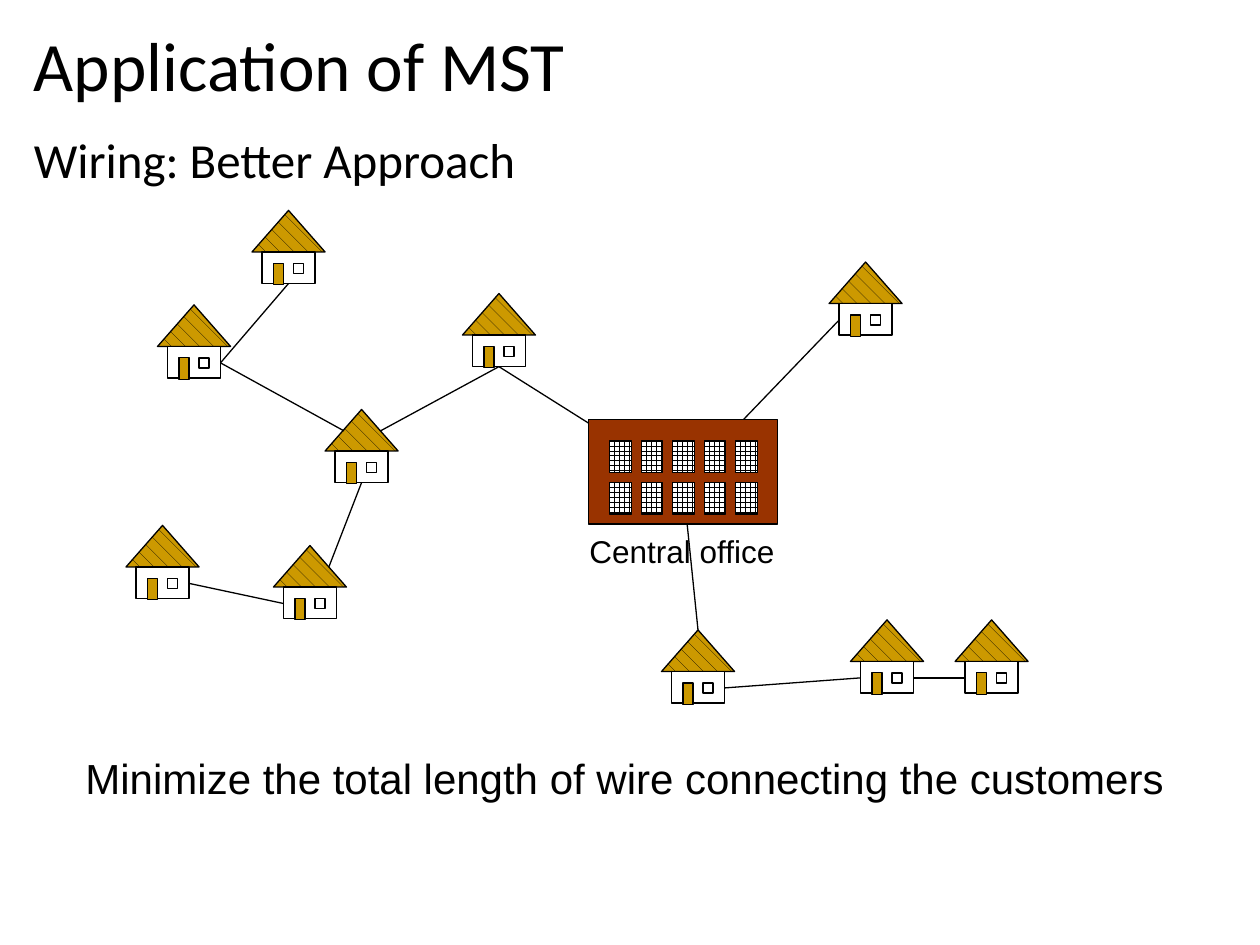
import pptx
import pptx.util
import pptx.dml.color
import pptx.enum.dml
import pptx.enum.shapes
import pptx.enum.text
import pptx.oxml.ns
import lxml.etree

Inches = pptx.util.Inches
Pt = pptx.util.Pt
RGBColor = pptx.dml.color.RGBColor
SHAPE = pptx.enum.shapes.MSO_SHAPE
PATTERN = pptx.enum.dml.MSO_PATTERN
ANCHOR = pptx.enum.text.MSO_ANCHOR

BLACK = RGBColor(0x00, 0x00, 0x00)
WHITE = RGBColor(0xFF, 0xFF, 0xFF)
GOLD = RGBColor(0xCC, 0x99, 0x00)
BRICK = RGBColor(0x99, 0x33, 0x00)

HOUSES = {
    "far west": (1, 4.17),
    "south": (5.25, 5),
    "north": (3.67, 2.33),
    "north east": (6.58, 2.08),
    "junction": (2.58, 3.25),
    "west": (1.25, 2.42),
    "north west": (2, 1.67),
    "south west": (2.17, 4.33),
    "far east": (7.58, 4.92),
    "east": (6.75, 4.92),
}
HOUSE_ANCHORS = {
    "apex": (0.29, 0),
    "base": (0.29, 0.58),
    "left wall": (0.08, 0.46),
    "right wall": (0.5, 0.46),
    "left roof": (0.15, 0.17),
    "right roof": (0.44, 0.17),
}
OFFICE = (4.67, 3.33)
OFFICE_CENTER = (5.42, 3.83)
OFFICE_WIRES = [("north east", "left wall"), ("south", "apex"), ("north", "base")]
HOUSE_WIRES = [
    (("north", "base"), ("junction", "right roof")),
    (("junction", "left roof"), ("west", "right wall")),
    (("west", "right wall"), ("north west", "base")),
    (("junction", "base"), ("south west", "right roof")),
    (("south west", "left wall"), ("far west", "right wall")),
    (("south", "right wall"), ("east", "left wall")),
    (("east", "right wall"), ("far east", "left wall")),
]


def add_part(shapes, kind, left, top, width, height, color=None, pattern=None):
    """Add an outlined shape that is solid, patterned over a colour, or hollow."""
    shape = shapes.add_shape(kind, Inches(left), Inches(top), Inches(width), Inches(height))
    shape.shadow.inherit = False
    shape.line.color.rgb = BLACK
    shape.line.width = Pt(0.75)
    if pattern is not None:
        shape.fill.patterned()
        shape.fill.pattern = pattern
        shape.fill.fore_color.rgb = BLACK
        shape.fill.back_color.rgb = color
    elif color is not None:
        shape.fill.solid()
        shape.fill.fore_color.rgb = color
    else:
        shape.fill.background()


def add_text(slide, text, box, size, font, wrap=True, anchor=ANCHOR.TOP, spacing=None, before=None):
    """Add a one-paragraph text box."""
    shape = slide.shapes.add_textbox(*(Inches(length) for length in box))
    text_frame = shape.text_frame
    text_frame.word_wrap = wrap
    text_frame.vertical_anchor = anchor
    text_frame.text = text
    paragraph = text_frame.paragraphs[0]
    paragraph.line_spacing = spacing
    paragraph.space_before = before
    run = paragraph.runs[0]
    run.font.size = Pt(size)
    run.font.name = font
    run.font.color.rgb = BLACK


def add_house(slide, left, top):
    """Add a house with its roof, wall, door and window."""
    shapes = slide.shapes.add_group_shape().shapes
    add_part(shapes, SHAPE.ISOSCELES_TRIANGLE, left, top, 0.58, 0.33, GOLD, PATTERN.SHINGLE)
    add_part(shapes, SHAPE.RECTANGLE, left + 0.08, top + 0.33, 0.42, 0.25, WHITE)
    add_part(shapes, SHAPE.RECTANGLE, left + 0.17, top + 0.42, 0.08, 0.17, GOLD)
    add_part(shapes, SHAPE.RECTANGLE, left + 0.33, top + 0.42, 0.08, 0.08)


def add_office(slide, left, top):
    """Add the central office with two rows of five windows."""
    shapes = slide.shapes.add_group_shape().shapes
    add_part(shapes, SHAPE.RECTANGLE, left, top, 1.5, 0.83, BRICK)
    for row in range(2):
        for column in range(5):
            add_part(shapes, SHAPE.RECTANGLE, left + 0.17 + 0.25 * column, top + 0.17 + 0.33 * row,
                     0.17, 0.25, WHITE, PATTERN.LARGE_GRID)


def house_point(name, anchor):
    """Return the place of a named anchor on a house."""
    left, top = HOUSES[name]
    across, down = HOUSE_ANCHORS[anchor]
    return left + across, top + down


def add_wire(slide, start, end):
    """Add a straight wire between two points."""
    wire = slide.shapes.add_connector(pptx.enum.shapes.MSO_CONNECTOR.STRAIGHT,
                                      *(Inches(length) for length in (*start, *end)))
    wire.line.color.rgb = BLACK
    wire.line.width = Pt(0.75)
    properties = wire._element.spPr
    lxml.etree.SubElement(properties, pptx.oxml.ns.qn("a:effectLst"))


def add_network(slide):
    """Add the houses, the wires and the office in front of them."""
    for left, top in HOUSES.values():
        add_house(slide, left, top)
    add_text(slide, "Central office", (4.58, 4.17, 1.67, 0.4), 18, "Arial", wrap=False)
    for house in OFFICE_WIRES:
        add_wire(slide, OFFICE_CENTER, house_point(*house))
    for start, end in HOUSE_WIRES:
        add_wire(slide, house_point(*start), house_point(*end))
    add_office(slide, *OFFICE)


def main():
    """Build the slide and save it."""
    presentation = pptx.Presentation()
    presentation.slide_width = Inches(10)
    presentation.slide_height = Inches(7.5)
    slide = presentation.slides.add_slide(presentation.slide_layouts[6])
    add_text(slide, "Application of MST", (0.17, 0.18, 9.62, 0.74), 39.6, "Calibri",
             anchor=ANCHOR.MIDDLE, spacing=0.9)
    add_text(slide, "Wiring: Better Approach", (0.17, 1.03, 9.62, 5.73), 28, "Calibri",
             spacing=0.9, before=Pt(10))
    add_network(slide)
    add_text(slide, "Minimize the total length of wire connecting the customers",
             (0.58, 5.92, 8.8, 0.5), 24, "Arial")
    presentation.save("out.pptx")


if __name__ == "__main__":
    main()
